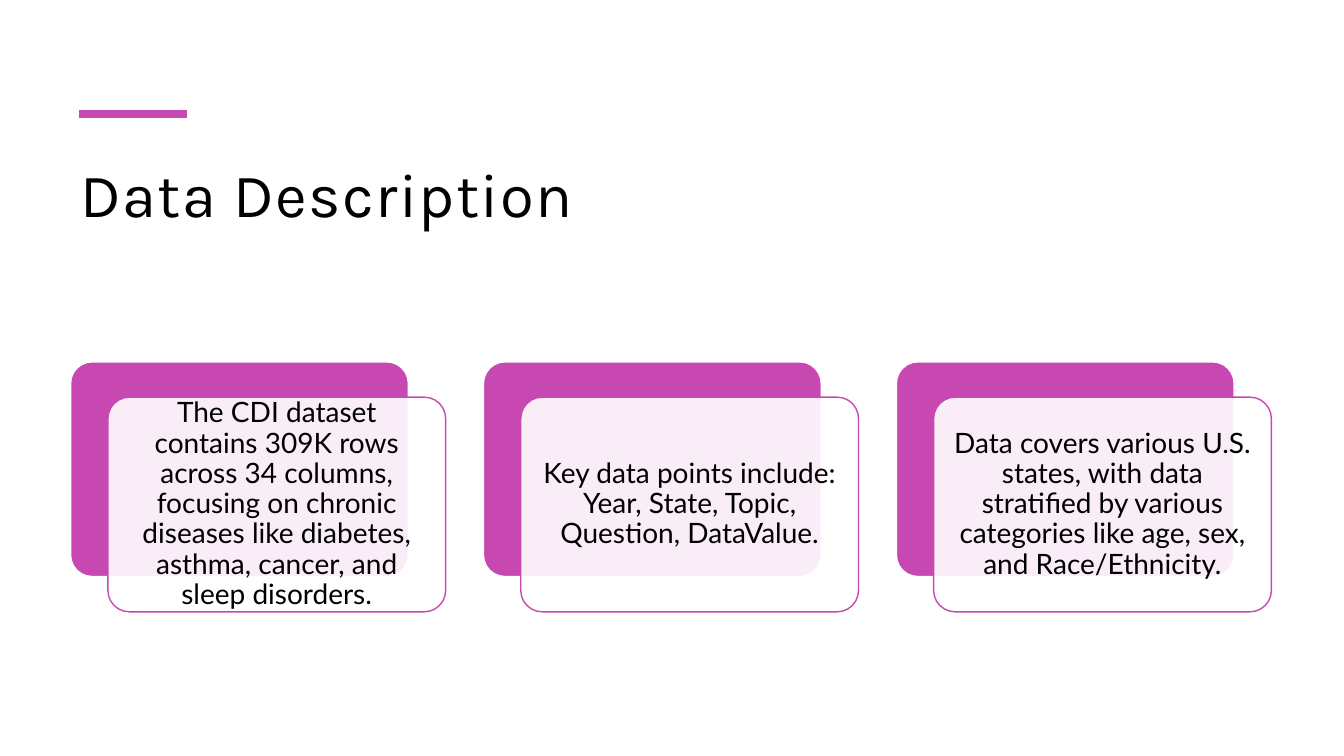
import pptx
import pptx.dml.color
import pptx.enum.shapes
import pptx.enum.text
import pptx.oxml.ns
import pptx.util
from lxml import etree

COLORS = {"accent": "C848B2", "paper": "FFFFFF", "ink": "000000"}
TITLE_FONT, BODY_FONT = "Karla", "Lato"

WIDTH, HEIGHT = 13.33, 7.5
MARGIN = 0.7
CARD_WIDTH, CARD_HEIGHT = 3.35, 2.13
CARD_TOP = 3.59
OFFSET_X, OFFSET_Y = 0.37, 0.35
CONTENT_WIDTH = 11.91

FACTS = [
    "The CDI dataset contains 309K rows across 34 columns, focusing on chronic "
    "diseases like diabetes, asthma, cancer, and sleep disorders.",
    "Key data points include: Year, State, Topic, Question, DataValue.",
    "Data covers various U.S. states, with data stratified by various "
    "categories like age, sex, and Race/Ethnicity.",
]
# The last card pair ends on the right margin.
COLUMN = (CONTENT_WIDTH - OFFSET_X - CARD_WIDTH) / (len(FACTS) - 1)


def color(name):
    return pptx.dml.color.RGBColor.from_string(COLORS[name])


def add_child(parent, tag, **attributes):
    return etree.SubElement(parent, pptx.oxml.ns.qn(tag), attributes)


class SlideBuilder:
    """Draws on one slide; cards are placed by column, with shifts in inches."""

    def __init__(self, presentation):
        self.slide = presentation.slides.add_slide(presentation.slide_layouts[6])

    def add_run(self, paragraph, text, font, size):
        run = paragraph.add_run()
        run.text = text
        run.font.name = font
        run.font.size = pptx.util.Pt(size)
        run.font.color.rgb = color("ink")
        return run

    def accent_line(self, left, right, top):
        line = self.slide.shapes.add_connector(
            pptx.enum.shapes.MSO_CONNECTOR.STRAIGHT,
            *map(pptx.util.Inches, (left, top, right, top)))
        line.line.color.rgb = color("accent")
        line.line.width = pptx.util.Pt(6)
        add_child(line.element.spPr, "a:effectLst")

    def title(self, text, top, height):
        box = self.slide.shapes.add_textbox(
            *map(pptx.util.Inches, (MARGIN, top, CONTENT_WIDTH, height)))
        box.text_frame.word_wrap = True
        run = self.add_run(box.text_frame.paragraphs[0], text, TITLE_FONT, 44)
        run.font._element.set("spc", "100")

    def card(self, column, fill, line, shift_x=0, shift_y=0, opacity=100):
        card = self.slide.shapes.add_shape(
            pptx.enum.shapes.MSO_SHAPE.ROUNDED_RECTANGLE,
            *map(pptx.util.Inches, (MARGIN + column * COLUMN + shift_x,
                                    CARD_TOP + shift_y, CARD_WIDTH, CARD_HEIGHT)))
        card.adjustments[0] = 0.1
        card.shadow.inherit = False
        card.fill.solid()
        card.fill.fore_color.rgb = color(fill)
        if opacity < 100:
            fill_color = card.element.spPr.find(".//" + pptx.oxml.ns.qn("a:srgbClr"))
            add_child(fill_color, "a:alpha", val=str(opacity * 1000))
        card.line.color.rgb = color(line)
        card.line.width = pptx.util.Pt(1)
        return card

    def fact(self, column, text):
        """Add an accent card with a translucent text card overlapping it."""
        self.card(column, "accent", "paper")
        front = self.card(column, "paper", "accent", OFFSET_X, OFFSET_Y, opacity=90)
        frame = front.text_frame
        frame.word_wrap = True
        frame.vertical_anchor = pptx.enum.text.MSO_ANCHOR.MIDDLE
        inset = pptx.util.Inches(0.08)
        frame.margin_left = frame.margin_right = inset
        frame.margin_top = frame.margin_bottom = inset
        paragraph = frame.paragraphs[0]
        paragraph.alignment = pptx.enum.text.PP_ALIGN.CENTER
        paragraph.line_spacing = 0.9
        paragraph.space_after = pptx.util.Pt(7)
        self.add_run(paragraph, text, BODY_FONT, 20)


def main():
    presentation = pptx.Presentation()
    presentation.slide_width = pptx.util.Inches(WIDTH)
    presentation.slide_height = pptx.util.Inches(HEIGHT)
    builder = SlideBuilder(presentation)
    builder.accent_line(0.78, 1.85, 1.13)
    builder.title("Data Description", 1.5, 1.2)
    for column, text in enumerate(FACTS):
        builder.fact(column, text)
    presentation.save("out.pptx")


if __name__ == "__main__":
    main()
